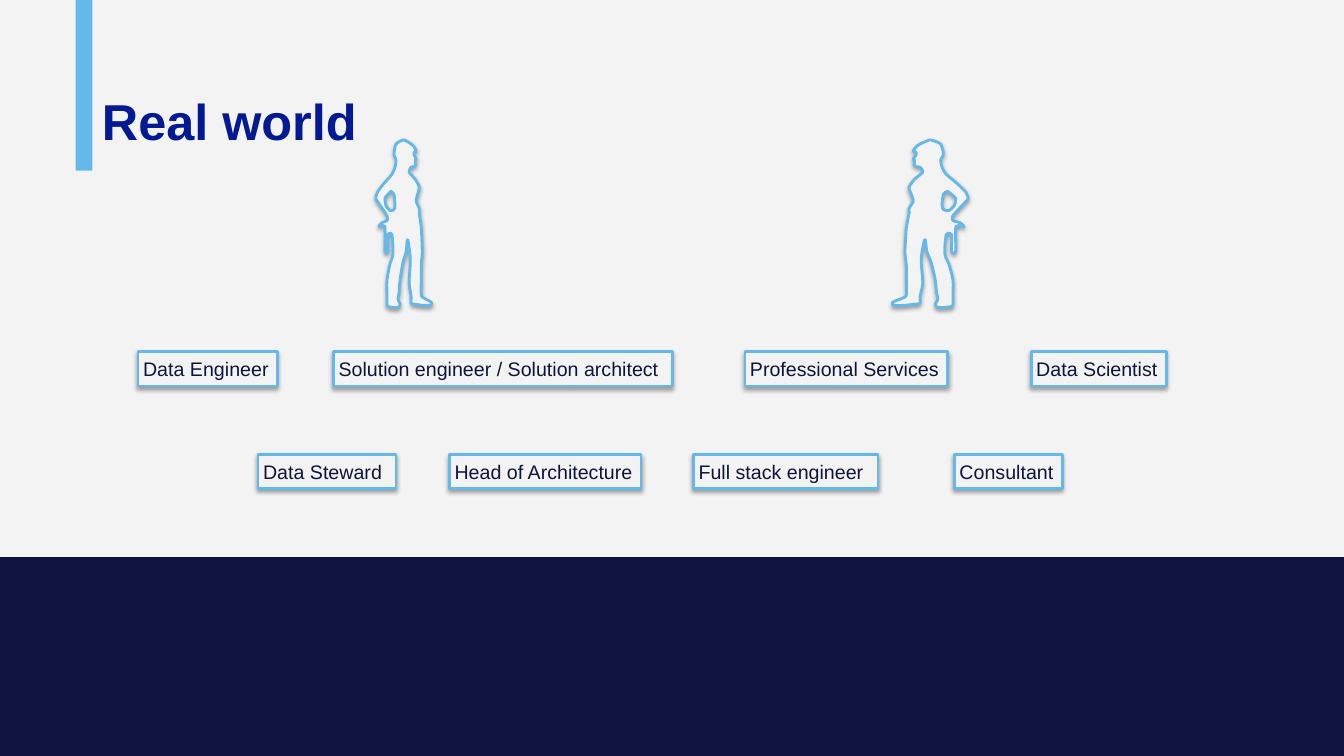
"""Build the "Real world" slide: two worker outlines above two rows of job roles."""
import itertools
from typing import NamedTuple

import pptx
import pptx.dml.color
import pptx.enum.shapes
import pptx.enum.text
import pptx.oxml
import pptx.oxml.ns
import pptx.util

Pt = pptx.util.Pt
RGBColor = pptx.dml.color.RGBColor
Point = tuple[float, float]

PALE = RGBColor(0xF3, 0xF3, 0xF3)
NAVY = RGBColor(0x0E, 0x14, 0x3D)
SKY = RGBColor(0x65, 0xB9, 0xEA)
BLUE = RGBColor(0x01, 0x19, 0x93)

SLIDE_WIDTH, SLIDE_HEIGHT = 960, 540
FLOOR_TOP = 398
ROLE_HEIGHT = 24.5
BODY_UNIT = 0.72
CURVE_STEPS = 3
CURVE_TENSION = 0.35


class Role(NamedTuple):
    """A job-role label within its row."""
    text: str
    left: float
    width: float


class Worker(NamedTuple):
    """Where a worker stands; a negative stretch makes it face left."""
    head_x: float
    head_top: float
    stretch: float


ROLE_ROWS = {
    251.3: [
        Role("Data Engineer", 98.6, 99.4),
        Role("Solution engineer / Solution architect", 238.3, 241.9),
        Role("Professional Services", 532.1, 144.7),
        Role("Data Scientist", 736.6, 96.5),
    ],
    324.7: [
        Role("Data Steward", 184.3, 98.6),
        Role("Head of Architecture", 321.1, 136.8),
        Role("Full stack engineer", 495.4, 131.8),
        Role("Consultant", 681.8, 77),
    ],
}

WORKERS = [Worker(663.1, 100, -1.36), Worker(289.4, 100, 1)]

BODY_PARTS: dict[str, list[Point]] = {
    "back of head": [(-2, 0), (-9, 4), (-11, 14), (-9, 20), (-10, 27)],
    "bent arm": [(-13, 34), (-20, 42), (-27, 51), (-29, 58), (-26, 63), (-18, 75), (-18, 80)],
    "tool on belt": [(-23, 82), (-26, 86), (-20, 86), (-20, 110), (-17, 111), (-17, 94), (-13, 94)],
    "back leg": [(-12, 113), (-15, 123), (-18, 139), (-18, 153), (-18, 163)],
    "back foot": [(-17, 165), (-13, 166), (-7, 166), (-5, 163), (-7, 158)],
    "inside of back leg": [(-6, 151), (-5, 138), (-2, 121), (1, 111), (2, 100)],
    "inside of front leg": [(3, 100), (5, 115), (5, 125), (4, 142), (6, 155), (6, 162)],
    "front foot": [(11, 163), (17, 164), (25, 164), (26, 161), (19, 157), (16, 154)],
    "front leg": [(16, 139), (16, 124), (17, 111), (16, 87), (14, 73)],
    "chest": [(14, 68), (11, 61), (12, 55), (14, 47), (10, 39), (4, 32)],
    "face": [(6, 27), (10, 26), (10, 20), (11, 19), (9, 15)],
    "cap": [(9, 12), (11, 11), (9, 7), (6, 4), (1, 1)],
}
ARM_GAP: list[Point] = [(-14, 51), (-11, 54), (-10, 64), (-11, 69),
                        (-15, 70), (-19, 65), (-20, 58), (-17, 54)]


def write(tf: pptx.text.text.TextFrame, text: str, *, size: float, color: RGBColor,
          bold: bool = False, inset: float) -> None:
    """Put one left-aligned line of Arial in a text frame."""
    tf.word_wrap = True
    tf.vertical_anchor = pptx.enum.text.MSO_ANCHOR.TOP
    tf.margin_left = tf.margin_right = tf.margin_top = tf.margin_bottom = Pt(inset)
    p = tf.paragraphs[0]
    p.alignment = pptx.enum.text.PP_ALIGN.LEFT
    r = p.add_run()
    r.text = text
    r.font.name = "Arial"
    r.font.size = Pt(size)
    r.font.bold = bold
    r.font.color.rgb = color


def add_rect(s: pptx.slide.Slide, left: float, top: float, width: float, height: float,
             color: RGBColor) -> pptx.shapes.autoshape.Shape:
    """Add a plain filled rectangle, measured in points."""
    sp = s.shapes.add_shape(pptx.enum.shapes.MSO_SHAPE.RECTANGLE,
                            Pt(left), Pt(top), Pt(width), Pt(height))
    sp.shadow.inherit = False
    sp.fill.solid()
    sp.fill.fore_color.rgb = color
    sp.line.fill.background()
    return sp


def style_outlined(sp: pptx.shapes.autoshape.Shape) -> None:
    """Give a shape the pale fill, sky outline and soft drop shadow."""
    sp.fill.solid()
    sp.fill.fore_color.rgb = PALE
    sp.line.color.rgb = SKY
    sp.line.width = Pt(2)
    sp.shadow.inherit = False
    ns = pptx.oxml.ns.nsdecls("a")
    ln = sp._element.spPr.find(pptx.oxml.ns.qn("a:ln"))
    ln.append(pptx.oxml.parse_xml(f"<a:round {ns}/>"))
    effects = sp._element.spPr.find(pptx.oxml.ns.qn("a:effectLst"))
    effects.append(pptx.oxml.parse_xml(
        f'<a:outerShdw {ns} blurRad="{Pt(3)}" dist="{Pt(1.8)}" dir="5400000" rotWithShape="0">'
        '<a:srgbClr val="000000"><a:alpha val="35000"/></a:srgbClr></a:outerShdw>'))


def add_role(s: pptx.slide.Slide, role: Role, top: float) -> None:
    """Add one outlined job-role label."""
    sp = add_rect(s, role.left, top, role.width, ROLE_HEIGHT, PALE)
    style_outlined(sp)
    write(sp.text_frame, role.text, size=14, color=NAVY, inset=3.6)


def curve_value(before: float, start: float, end: float, after: float, t: float) -> float:
    """Blend from start to end along a cubic whose slopes follow the neighbours."""
    slope_in = CURVE_TENSION * (end - before)
    slope_out = CURVE_TENSION * (after - start)
    return ((2 * t**3 - 3 * t**2 + 1) * start + (t**3 - 2 * t**2 + t) * slope_in
            + (3 * t**2 - 2 * t**3) * end + (t**3 - t**2) * slope_out)


def smooth_loop(points: list[Point]) -> list[Point]:
    """Round a closed outline by adding points along a curve through its corners."""
    curve = []
    for i in range(len(points)):
        xs, ys = zip(*(points[(i + k) % len(points)] for k in (-1, 0, 1, 2)))
        for step in range(CURVE_STEPS):
            t = step / CURVE_STEPS
            curve.append((curve_value(*xs, t), curve_value(*ys, t)))
    return curve


def add_worker(s: pptx.slide.Slide, worker: Worker) -> None:
    """Add one worker outline with the gap between arm and body."""
    def place(points: list[Point]) -> list[Point]:
        """Move a body outline to this worker's position on the slide."""
        return [(Pt(worker.head_x + x * BODY_UNIT * worker.stretch),
                 Pt(worker.head_top + y * BODY_UNIT)) for x, y in smooth_loop(points)]

    body = place(list(itertools.chain.from_iterable(BODY_PARTS.values())))
    gap = place(ARM_GAP)
    fb = s.shapes.build_freeform(*body[0], scale=1.0)
    fb.add_line_segments(body[1:], close=True)
    fb.move_to(*gap[0])
    fb.add_line_segments(gap[1:], close=True)
    style_outlined(fb.convert_to_shape())


def main() -> None:
    """Build and save the slide."""
    prs = pptx.Presentation()
    prs.slide_width, prs.slide_height = Pt(SLIDE_WIDTH), Pt(SLIDE_HEIGHT)
    s = prs.slides.add_slide(prs.slide_layouts[6])
    s.background.fill.solid()
    s.background.fill.fore_color.rgb = PALE
    add_rect(s, 0, FLOOR_TOP, SLIDE_WIDTH, SLIDE_HEIGHT - FLOOR_TOP, NAVY)
    add_rect(s, 54, 0, 12, 122, SKY)
    title = s.shapes.add_textbox(Pt(63.4), Pt(54.7), Pt(776.9), Pt(169.9))
    write(title.text_frame, "Real world", size=36, color=BLUE, bold=True, inset=9.4)
    for top, roles in ROLE_ROWS.items():
        for role in roles:
            add_role(s, role, top)
    for worker in WORKERS:
        add_worker(s, worker)
    prs.save("out.pptx")


if __name__ == "__main__":
    main()
